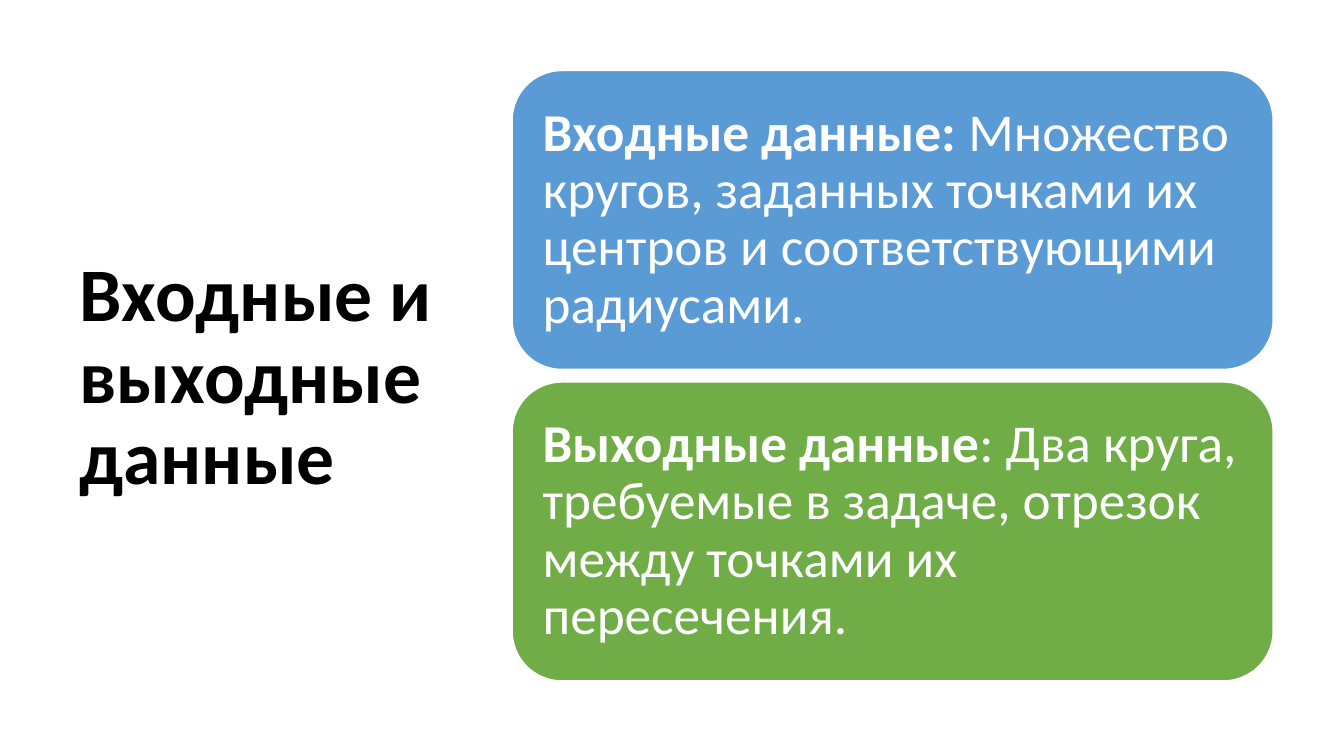
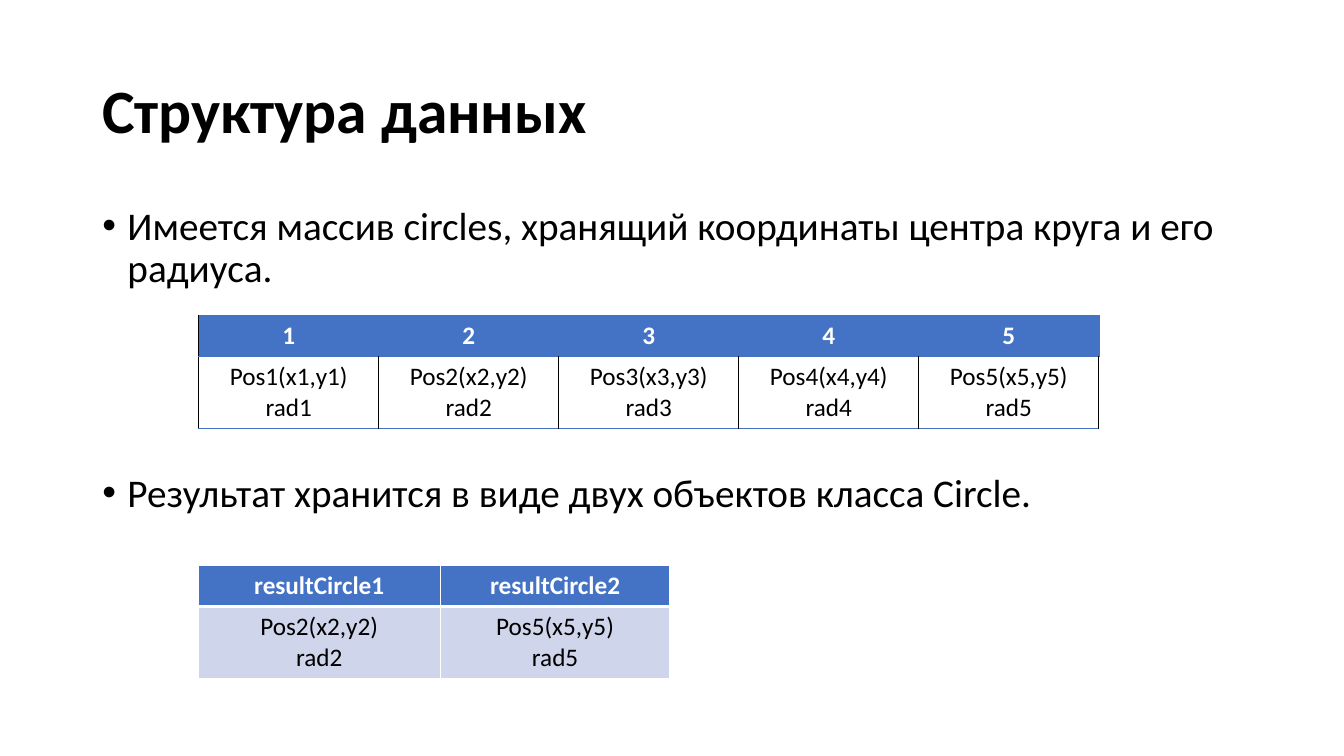
import pptx
import pptx.dml.color
import pptx.enum.shapes
import pptx.enum.text
import pptx.oxml
import pptx.oxml.ns
import pptx.util
import lxml.etree
from dataclasses import dataclass

Pt = pptx.util.Pt
Align = pptx.enum.text.PP_ALIGN
Anchor = pptx.enum.text.MSO_ANCHOR


@dataclass(frozen=True)
class Theme:
    font: str = "Calibri"
    black: str = "000000"
    white: str = "FFFFFF"
    input_blue: str = "5B9BD5"
    output_green: str = "70AD47"
    header_blue: str = "4472C4"
    pale_blue: str = "CFD5EA"
    side_title_size: float = 54
    title_size: float = 44
    card_size: float = 38
    body_size: float = 28
    table_size: float = 18
    line_spacing: float = 0.9


THEME = Theme()
SLIDE_SIZE = (960, 540)

SIDE_TITLE = ("Входные и выходные данные", (49.7, 50.4, 269.3, 440), THEME.side_title_size)
TOP_TITLE = ("Структура данных", (66, 28.8, 828, 104.4), THEME.title_size)

CARDS = [
    (THEME.input_blue, "Входные данные:",
     " Множество кругов, заданных точками их центров и соответствующими радиусами."),
    (THEME.output_green, "Выходные данные",
     ": Два круга, требуемые в задаче, отрезок между точками их пересечения."),
]
CARD_LEFT, CARD_TOP, CARD_WIDTH, CARD_HEIGHT, CARD_GAP = 365.8, 50.4, 543.6, 213.5, 9
CARD_INSET = 11.4

BULLETS_BOX = (66, 144, 828, 342.7)
BULLETS = [
    ("Имеется массив circles, хранящий координаты центра круга и его радиуса.", 10),
    ("Результат хранится в виде двух объектов класса Circle.", 130),
]
BULLET_INDENT = 18

ROW_HEIGHTS = (29.25, 51.25)
BLUE_LINE = (THEME.header_blue, 0.5)
BLACK_LINE = (THEME.black, 1)
WHITE_LINE = (THEME.white, 1)
THICK_WHITE_LINE = (THEME.white, 3)


def circle_text(number):
    return f"Pos{number}(x{number},y{number})\nrad{number}"


TABLES = [
    {
        "position": (142, 225.4),
        "widths": [128.6] * 5,
        "rows": [[str(n) for n in range(1, 6)], [circle_text(n) for n in range(1, 6)]],
        "body_fill": None,
        "first_left": BLACK_LINE,
        "header_lines": dict.fromkeys("LRTB", BLUE_LINE),
        "body_lines": {"L": BLACK_LINE, "R": BLACK_LINE, "T": BLUE_LINE, "B": BLUE_LINE},
    },
    {
        "position": (141.5, 404),
        "widths": [173, 164],
        "rows": [["resultCircle1", "resultCircle2"], [circle_text(2), circle_text(5)]],
        "body_fill": THEME.pale_blue,
        "first_left": WHITE_LINE,
        "header_lines": {**dict.fromkeys("LRT", WHITE_LINE), "B": THICK_WHITE_LINE},
        "body_lines": {**dict.fromkeys("LRB", WHITE_LINE), "T": THICK_WHITE_LINE},
    },
]


def color(value):
    return pptx.dml.color.RGBColor.from_string(value)


def points(values):
    return [Pt(value) for value in values]


def format_run(run, size, text_color, bold=False):
    run.font.name = THEME.font
    run.font.size = Pt(size)
    run.font.bold = bold
    run.font.color.rgb = color(text_color)


def add_text_frame(slide, box):
    text_frame = slide.shapes.add_textbox(*points(box)).text_frame
    text_frame.word_wrap = True
    return text_frame


def add_title(slide, text, box, size):
    text_frame = add_text_frame(slide, box)
    text_frame.vertical_anchor = Anchor.MIDDLE
    text_frame.text = text
    paragraph = text_frame.paragraphs[0]
    paragraph.line_spacing = THEME.line_spacing
    format_run(paragraph.runs[0], size, THEME.black, bold=True)


def add_card(slide, index, fill, label, description):
    top = CARD_TOP + index * (CARD_HEIGHT + CARD_GAP)
    card = slide.shapes.add_shape(
        pptx.enum.shapes.MSO_SHAPE.ROUNDED_RECTANGLE,
        *points((CARD_LEFT, top, CARD_WIDTH, CARD_HEIGHT)))
    card.shadow.inherit = False
    card.fill.solid()
    card.fill.fore_color.rgb = color(fill)
    card.line.color.rgb = color(THEME.white)
    card.line.width = Pt(1)
    text_frame = card.text_frame
    text_frame.word_wrap = True
    text_frame.vertical_anchor = Anchor.MIDDLE
    for side in ("left", "right", "top", "bottom"):
        setattr(text_frame, f"margin_{side}", Pt(CARD_INSET))
    paragraph = text_frame.paragraphs[0]
    paragraph.alignment = Align.LEFT
    paragraph.line_spacing = THEME.line_spacing
    for text, bold in ((label, True), (description, False)):
        run = paragraph.add_run()
        run.text = text
        format_run(run, THEME.card_size, THEME.white, bold)


def set_bullet(paragraph):
    properties = paragraph._p.get_or_add_pPr()
    properties.set("marL", str(Pt(BULLET_INDENT)))
    properties.set("indent", str(-Pt(BULLET_INDENT)))
    font = lxml.etree.SubElement(properties, pptx.oxml.ns.qn("a:buFont"))
    font.set("typeface", "Arial")
    bullet = lxml.etree.SubElement(properties, pptx.oxml.ns.qn("a:buChar"))
    bullet.set("char", "•")


def add_bullets(slide):
    text_frame = add_text_frame(slide, BULLETS_BOX)
    text_frame.text = "\n".join(text for text, gap in BULLETS)
    for paragraph, (text, gap) in zip(text_frame.paragraphs, BULLETS):
        paragraph.line_spacing = THEME.line_spacing
        paragraph.space_before = Pt(gap)
        set_bullet(paragraph)
        format_run(paragraph.runs[0], THEME.body_size, THEME.black)


def set_borders(cell, lines):
    properties = cell._tc.get_or_add_tcPr()
    for index, side in enumerate("LRTB"):
        line_color, width = lines[side]
        properties.insert(index, pptx.oxml.parse_xml(
            f'<a:ln{side} {pptx.oxml.ns.nsdecls("a")} w="{Pt(width)}">'
            f'<a:solidFill><a:srgbClr val="{line_color}"/></a:solidFill></a:ln{side}>'))


def format_cell(cell, text, fill, text_color, bold, lines):
    if fill:
        cell.fill.solid()
        cell.fill.fore_color.rgb = color(fill)
    else:
        cell.fill.background()
    set_borders(cell, lines)
    cell.text_frame.text = text
    for paragraph in cell.text_frame.paragraphs:
        paragraph.alignment = Align.CENTER
        format_run(paragraph.runs[0], THEME.table_size, text_color, bold)


def add_data_table(slide, data):
    widths, rows = data["widths"], data["rows"]
    table = slide.shapes.add_table(
        len(rows), len(widths),
        *points((*data["position"], sum(widths), sum(ROW_HEIGHTS)))).table
    for column, width in zip(table.columns, widths):
        column.width = Pt(width)
    for row, height in zip(table.rows, ROW_HEIGHTS):
        row.height = Pt(height)
    styles = [
        (THEME.header_blue, THEME.white, True, data["header_lines"]),
        (data["body_fill"], THEME.black, False, data["body_lines"]),
    ]
    for row_index, (texts, style) in enumerate(zip(rows, styles)):
        fill, text_color, bold, lines = style
        for column_index, text in enumerate(texts):
            cell_lines = lines if column_index else {**lines, "L": data["first_left"]}
            format_cell(table.cell(row_index, column_index), text, fill, text_color, bold, cell_lines)


def build_input_output(slide):
    add_title(slide, *SIDE_TITLE)
    for index, card in enumerate(CARDS):
        add_card(slide, index, *card)


def build_data_structure(slide):
    add_title(slide, *TOP_TITLE)
    add_bullets(slide)
    for data in TABLES:
        add_data_table(slide, data)


def main():
    presentation = pptx.Presentation()
    presentation.slide_width, presentation.slide_height = points(SLIDE_SIZE)
    for build in (build_input_output, build_data_structure):
        build(presentation.slides.add_slide(presentation.slide_layouts[6]))
    presentation.save("out.pptx")


if __name__ == "__main__":
    main()
